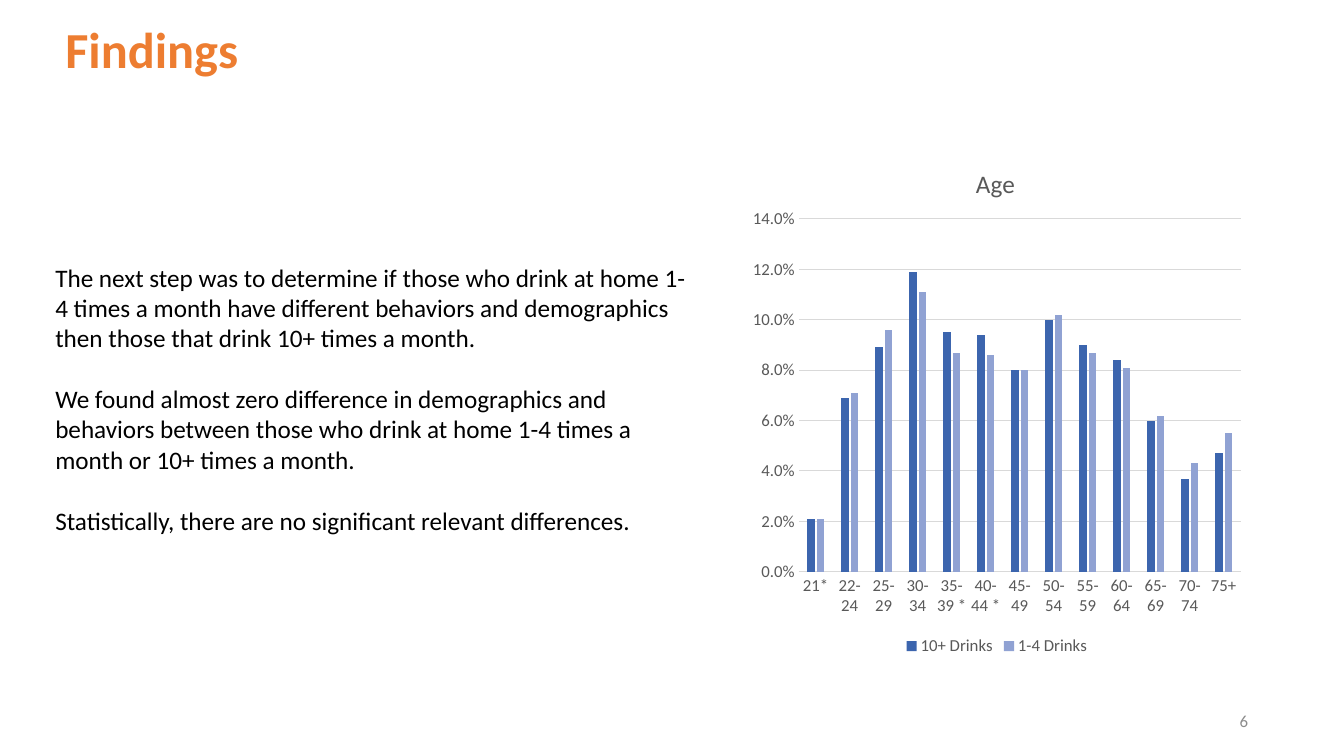
from lxml import etree
from pptx import Presentation
from pptx.chart.data import CategoryChartData
from pptx.dml.color import RGBColor
from pptx.enum.chart import XL_CHART_TYPE, XL_LEGEND_POSITION, XL_TICK_MARK
from pptx.enum.text import MSO_ANCHOR, PP_ALIGN
from pptx.oxml.ns import qn
from pptx.util import Pt

COLUMNS = XL_CHART_TYPE.COLUMN_CLUSTERED
LEGEND_BOTTOM = XL_LEGEND_POSITION.BOTTOM
NO_TICKS = XL_TICK_MARK.NONE
TOP, MIDDLE, BOTTOM = MSO_ANCHOR.TOP, MSO_ANCHOR.MIDDLE, MSO_ANCHOR.BOTTOM
LEFT, RIGHT = PP_ALIGN.LEFT, PP_ALIGN.RIGHT

FONT = "Calibri"
BLACK, GRAY, PALE_GRAY, PAGE_GRAY = "000000", "595959", "D9D9D9", "8C8C8C"
ORANGE, DARK_BLUE, LIGHT_BLUE = "ED7D31", "3C65AE", "90A2D3"

FINDINGS = [
    "The next step was to determine if those who drink at home 1-4 times a month "
    "have different behaviors and demographics then those that drink 10+ times a month.",
    "We found almost zero difference in demographics and behaviors between those who "
    "drink at home 1-4 times a month or 10+ times a month.",
    "Statistically, there are no significant relevant differences.",
]
AGES = ["21*", "22-24", "25-29", "30-34", "35-39 *", "40-44 *", "45-49",
        "50-54", "55-59", "60-64", "65-69", "70-74", "75+"]
DRINKERS = [
    ("10+ Drinks", DARK_BLUE, [0.021, 0.069, 0.089, 0.119, 0.095, 0.094, 0.08,
                               0.1, 0.09, 0.084, 0.06, 0.037, 0.047]),
    ("1-4 Drinks", LIGHT_BLUE, [0.021, 0.071, 0.096, 0.111, 0.087, 0.086, 0.08,
                                0.102, 0.087, 0.081, 0.062, 0.043, 0.055]),
]


def color(value):
    return RGBColor.from_string(value)


def style_font(font, size, font_color, bold=False):
    font.name = FONT
    font.size = Pt(size)
    font.bold = bold
    font.color.rgb = color(font_color)


def style_line(line, line_color):
    line.color.rgb = color(line_color)
    line.width = Pt(0.75)


def add_text(slide, box, texts, size, font_color, bold=False,
             anchor=TOP, align=LEFT, gap=0, line_spacing=1.0):
    shape = slide.shapes.add_textbox(*map(Pt, box))
    frame = shape.text_frame
    frame.word_wrap = True
    frame.vertical_anchor = anchor
    for index, text in enumerate(texts):
        paragraph = frame.add_paragraph() if index else frame.paragraphs[0]
        paragraph.alignment = align
        paragraph.line_spacing = line_spacing
        if index:
            paragraph.space_before = Pt(gap)
        run = paragraph.add_run()
        run.text = text
        style_font(run.font, size, font_color, bold)


def place(element, index, **values):
    for old_layout in element.findall(qn("c:layout")):
        element.remove(old_layout)
    layout = etree.Element(qn("c:layout"))
    manual = etree.SubElement(layout, qn("c:manualLayout"))
    for name, value in values.items():
        etree.SubElement(manual, qn(f"c:{name}")).set("val", str(value))
    element.insert(index, layout)


def add_title(chart, text):
    title = chart.chart_title
    run = title.text_frame.paragraphs[0].add_run()
    run.text = text
    style_font(run.font, 18, GRAY)
    title.include_in_layout = False
    place(title._element, 1, xMode="edge", yMode="edge", x=0.45, y=0.04)


def style_axis(axis):
    axis.major_tick_mark = NO_TICKS
    axis.minor_tick_mark = NO_TICKS
    style_font(axis.tick_labels.font, 12, GRAY)


def add_age_chart(slide, box):
    data = CategoryChartData(number_format="0.0%")
    data.categories = AGES
    for name, _, values in DRINKERS:
        data.add_series(name, values)
    chart = slide.shapes.add_chart(COLUMNS, *map(Pt, box), data).chart
    style_font(chart.font, 10, BLACK)
    add_title(chart, "Age")

    plot = chart.plots[0]
    plot.gap_width = 219
    plot.overlap = -27
    plot.vary_by_categories = False
    for series, (_, fill_color, _) in zip(plot.series, DRINKERS):
        series.format.fill.solid()
        series.format.fill.fore_color.rgb = color(fill_color)

    style_axis(chart.category_axis)
    style_line(chart.category_axis.format.line, PALE_GRAY)
    value_axis = chart.value_axis
    style_axis(value_axis)
    value_axis.format.line.fill.background()
    value_axis.minimum_scale = 0
    value_axis.maximum_scale = 0.14
    value_axis.major_unit = 0.02
    value_axis.tick_labels.number_format = "0.0%"
    value_axis.tick_labels.number_format_is_linked = False
    style_line(value_axis.major_gridlines.format.line, PALE_GRAY)

    chart.has_legend = True
    chart.legend.position = LEGEND_BOTTOM
    chart.legend.include_in_layout = False
    style_font(chart.legend.font, 12, GRAY)
    plot_area = chart._chartSpace.find(f".//{qn('c:plotArea')}")
    place(plot_area, 0, layoutTarget="inner", xMode="edge", yMode="edge",
          x=0.11, y=0.15, w=0.87, h=0.68)


def main():
    presentation = Presentation()
    presentation.slide_width = Pt(960)
    presentation.slide_height = Pt(540)
    slide = presentation.slides.add_slide(presentation.slide_layouts[6])
    add_text(slide, (32.4, 183.6, 466.6, 203.8), FINDINGS, 18, BLACK, gap=22)
    add_age_chart(slide, (530.6, 100.8, 362.9, 370.8))
    add_text(slide, (682.6, 500.4, 216, 28.8), ["6"], 12, PAGE_GRAY,
             anchor=MIDDLE, align=RIGHT)
    add_text(slide, (39.6, 10.1, 828, 50.4), ["Findings"], 36, ORANGE, bold=True,
             anchor=BOTTOM, line_spacing=0.9)
    presentation.save("out.pptx")


if __name__ == "__main__":
    main()
